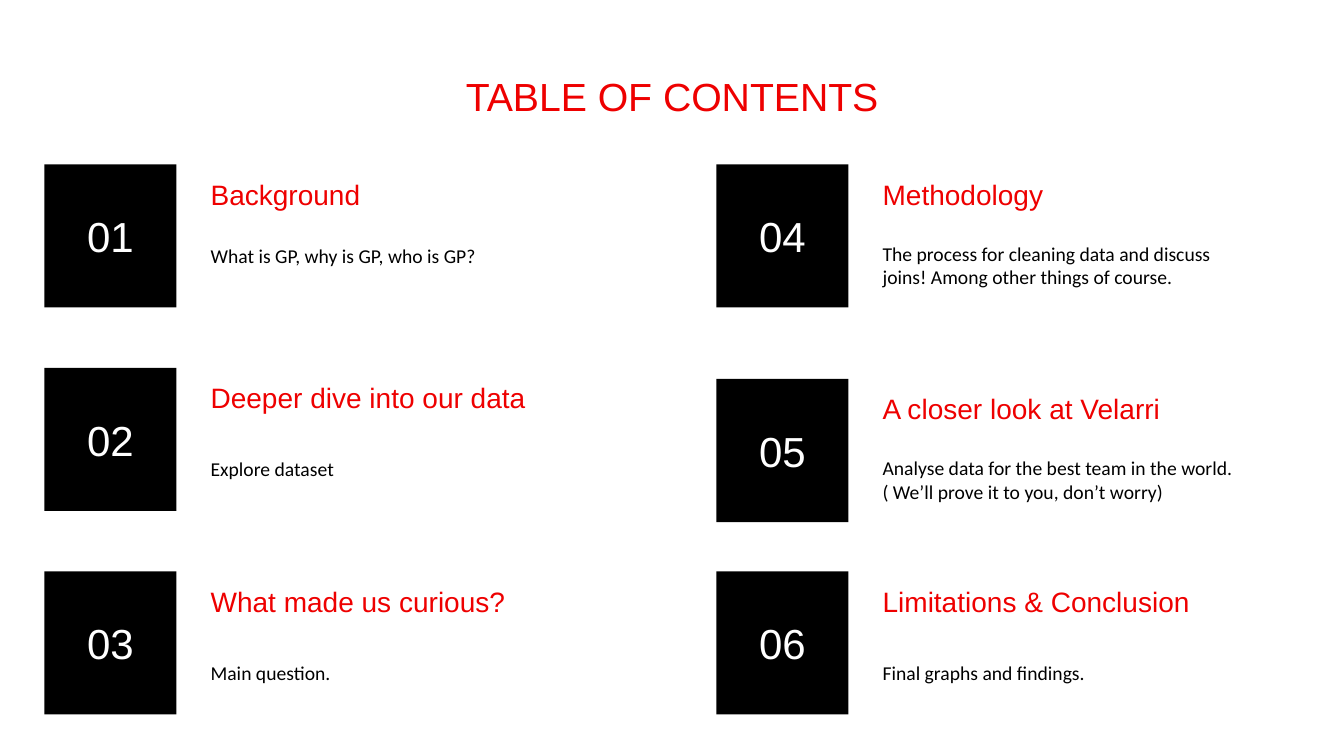
from dataclasses import dataclass

from pptx import Presentation
from pptx.dml.color import RGBColor
from pptx.enum.shapes import MSO_SHAPE
from pptx.enum.text import MSO_ANCHOR, PP_ALIGN
from pptx.util import Inches, Pt

RECTANGLE = MSO_SHAPE.RECTANGLE
MIDDLE = MSO_ANCHOR.MIDDLE
LEFT, CENTER = PP_ALIGN.LEFT, PP_ALIGN.CENTER


@dataclass(frozen=True)
class Theme:
    red: RGBColor = RGBColor(0xEE, 0x00, 0x00)
    black: RGBColor = RGBColor(0x00, 0x00, 0x00)
    white: RGBColor = RGBColor(0xFF, 0xFF, 0xFF)
    display_font: str = "Arial"
    body_font: str = "Calibri"
    title_size: int = 28
    number_size: int = 30
    heading_size: int = 20
    body_size: int = 14


class ContentsSlide:
    def __init__(self, presentation, theme):
        self.theme = theme
        self.width = presentation.slide_width
        self.height = presentation.slide_height
        self.slide = presentation.slides.add_slide(presentation.slide_layouts[6])

    def area(self, left, top, width, height):
        return (
            round(self.width * left / 100),
            round(self.height * top / 100),
            round(self.width * width / 100),
            round(self.height * height / 100),
        )

    def fill_text(self, shape, text, font_name, size, color, alignment=LEFT, side_inset=0.1):
        frame = shape.text_frame
        frame_format = {
            "word_wrap": True,
            "vertical_anchor": MIDDLE,
            "margin_left": Inches(side_inset),
            "margin_right": Inches(side_inset),
            "margin_top": Inches(0.1),
            "margin_bottom": Inches(0.1),
        }
        for name, value in frame_format.items():
            setattr(frame, name, value)
        paragraph = frame.paragraphs[0]
        paragraph.alignment = alignment
        run = paragraph.add_run()
        run.text = text
        for name, value in {"name": font_name, "size": Pt(size)}.items():
            setattr(run.font, name, value)
        run.font.color.rgb = color

    def text(self, area, text, *style):
        self.fill_text(self.slide.shapes.add_textbox(*self.area(*area)), text, *style)

    def title(self, area, text):
        theme = self.theme
        self.text(area, text, theme.display_font, theme.title_size, theme.red, CENTER)

    def heading(self, area, text):
        theme = self.theme
        self.text(area, text, theme.display_font, theme.heading_size, theme.red)

    def description(self, area, text):
        theme = self.theme
        self.text(area, text, theme.body_font, theme.body_size, theme.black)

    def number_tile(self, area, number):
        theme = self.theme
        tile = self.slide.shapes.add_shape(RECTANGLE, *self.area(*area))
        tile.shadow.inherit = False
        tile.fill.solid()
        tile.fill.fore_color.rgb = theme.black
        tile.line.fill.background()
        self.fill_text(tile, f"{number:02d}", theme.display_font, theme.number_size,
                       theme.white, CENTER, 0)


SECTIONS = [
    {"heading": "Background", "description": "What is GP, why is GP, who is GP?",
     "description_shift": -1.2},
    {"heading": "Deeper dive into our data", "description": "Explore dataset",
     "heading_width": 29.78},
    {"heading": "What made us curious?", "description": "Main question."},
    {"heading": "Methodology",
     "description": "The process for cleaning data and discuss joins! "
                    "Among other things of course."},
    {"heading": "A closer look at Velarri",
     "description": "Analyse data for the best team in the world. "
                    "( We’ll prove it to you, don’t worry)",
     "shift": 1.47},
    {"heading": "Limitations & Conclusion", "description": "Final graphs and findings."},
]

ROWS = 3
COLUMN_PITCH, ROW_PITCH = 50, 26.93
TILE_LEFT, TEXT_LEFT, FIRST_TOP = 3.3, 14.93, 21.73
TILE_WIDTH, TILE_HEIGHT = 9.83, 18.93
TEXT_WIDTH, HEADING_HEIGHT = 27.53, 7.87
DESCRIPTION_OFFSET, DESCRIPTION_HEIGHT = 7.73, 11.2


def main():
    presentation = Presentation()
    presentation.slide_width = Inches(13.33)
    presentation.slide_height = Inches(7.5)
    contents = ContentsSlide(presentation, Theme())
    contents.title((4.88, 6.27, 90.25, 12.93), "TABLE OF CONTENTS")
    for index, section in enumerate(SECTIONS):
        column, row = divmod(index, ROWS)
        tile_left = TILE_LEFT + column * COLUMN_PITCH
        text_left = TEXT_LEFT + column * COLUMN_PITCH
        top = FIRST_TOP + row * ROW_PITCH + section.get("shift", 0)
        description_top = top + DESCRIPTION_OFFSET + section.get("description_shift", 0)
        heading_width = section.get("heading_width", TEXT_WIDTH)
        contents.number_tile((tile_left, top, TILE_WIDTH, TILE_HEIGHT), index + 1)
        contents.heading((text_left, top, heading_width, HEADING_HEIGHT), section["heading"])
        contents.description((text_left, description_top, TEXT_WIDTH, DESCRIPTION_HEIGHT),
                             section["description"])
    presentation.save("out.pptx")


if __name__ == "__main__":
    main()
